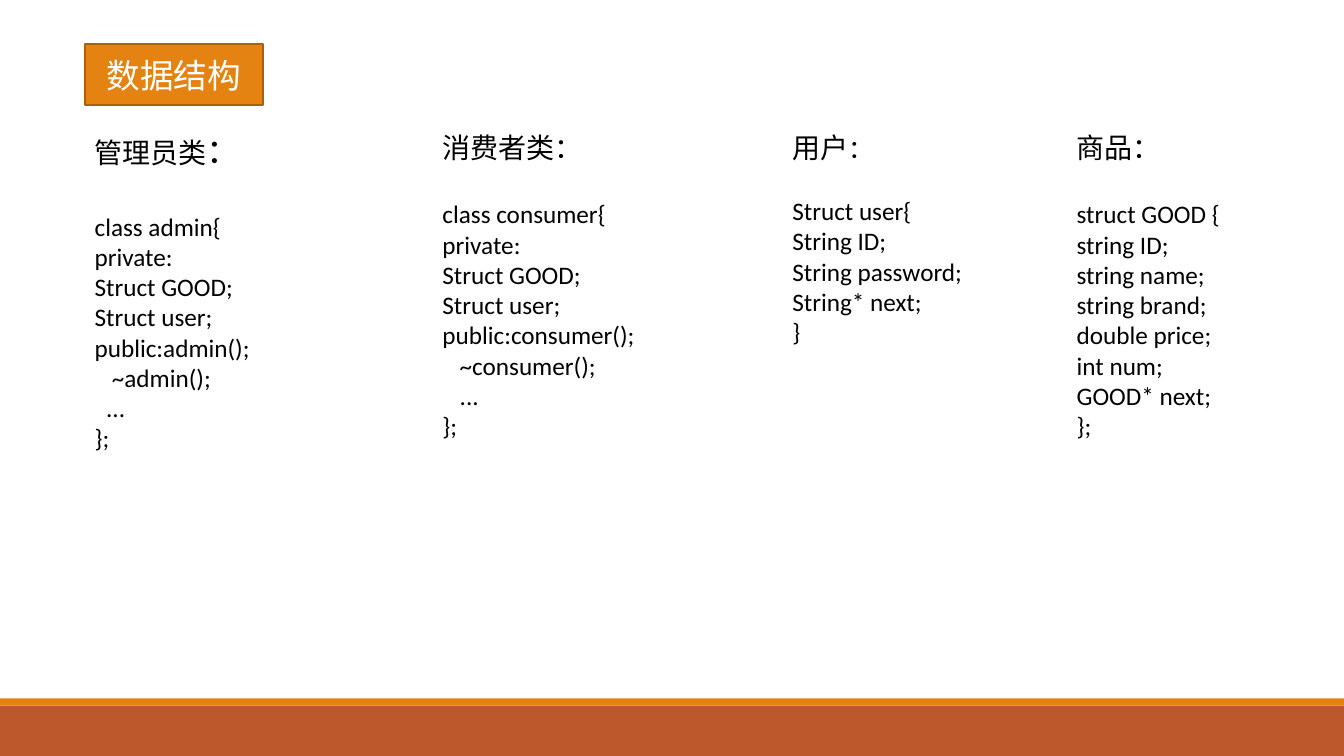
from pptx import Presentation
from pptx.dml.color import RGBColor
from pptx.enum.shapes import MSO_SHAPE
from pptx.enum.text import MSO_ANCHOR, MSO_AUTO_SIZE, PP_ALIGN
from pptx.oxml import parse_xml
from pptx.oxml.ns import nsdecls
from pptx.util import Inches, Pt

COLORS = {
    "orange": "E48312",
    "rust": "BD582C",
    "outline": "A9610D",
    "white": "FFFFFF",
    "black": "000000",
}
FONT = "Calibri"
CODE_SIZE = 18
LINE_HEIGHT = 1.22  # Calibri line height relative to its size
SPACE_WIDTH = 0.057  # inches, one blank at the code size


def rgb(name):
    return RGBColor.from_string(COLORS[name])


def place(sp, box):
    sp.left, sp.top, sp.width, sp.height = [Inches(v) for v in box]


def add_footer(slide, box):
    """Rust band with a thin orange strip along its top edge."""
    left, top, width, height = box
    strip = 0.07
    for y, h, color in ((top + strip, height - strip, "rust"), (top, strip, "orange")):
        sp = slide.shapes.add_shape(
            MSO_SHAPE.RECTANGLE, Inches(left), Inches(y), Inches(width), Inches(h))
        sp.shadow.inherit = False
        sp.fill.solid()
        sp.fill.fore_color.rgb = rgb(color)
        sp.line.fill.background()


def add_badge(slide, box, text):
    """Slide title on a rounded orange badge."""
    sp = slide.shapes.title
    place(sp, box)
    sp._element.spPr.append(parse_xml(
        f'<a:prstGeom {nsdecls("a")} prst="roundRect"><a:avLst/></a:prstGeom>'))
    sp.fill.solid()
    sp.fill.fore_color.rgb = rgb("orange")
    sp.line.color.rgb = rgb("outline")
    sp.line.width = Pt(1.25)
    tf = sp.text_frame
    tf.text = text
    tf.auto_size = MSO_AUTO_SIZE.NONE
    tf.vertical_anchor = MSO_ANCHOR.MIDDLE
    p = tf.paragraphs[0]
    p.alignment = PP_ALIGN.CENTER
    p.font.name, p.font.size = FONT, Pt(24)
    p.font.color.rgb = rgb("white")


def add_class(slide, box, anchor, heading, code, colon_size=20, heading_font=FONT):
    """Heading with its code listing; leading blanks become indents."""
    sp = slide.shapes.add_textbox(*[Inches(v) for v in box])
    tf = sp.text_frame
    tf.word_wrap = True
    tf.vertical_anchor = anchor

    # Heading, one line of its colon's size above the code
    p = tf.paragraphs[0]
    p.space_after = Pt(round(colon_size * LINE_HEIGHT, 1))
    p.font.name, p.font.size = heading_font, Pt(20)
    for text, size in ((heading, 20), ("：", colon_size)):
        r = p.add_run()
        r.text = text
        r.font.name, r.font.size = heading_font, Pt(size)
        r.font.color.rgb = rgb("black")

    # Code lines
    for line in code.splitlines():
        p = tf.add_paragraph()
        r = p.add_run()
        r.text = line.lstrip()
        indent = len(line) - len(r.text)
        if indent:
            p._p.get_or_add_pPr().set("marL", str(Inches(indent * SPACE_WIDTH)))
        p.font.name, p.font.size = FONT, Pt(CODE_SIZE)
        p.font.color.rgb = rgb("black")
    return sp


ADMIN = """class admin{
private:
Struct GOOD;
Struct user;
public:admin();
   ~admin();
  ...
};"""
CONSUMER = """class consumer{
private:
Struct GOOD;
Struct user;
public:consumer();
   ~consumer();
   ...
};"""
USER = """Struct user{
String ID;
String password;
String* next;
}"""
GOOD = """struct GOOD {
string ID;
string name;
string brand;
double price;
int num;
GOOD* next;
};"""


def main():
    prs = Presentation()
    prs.slide_width, prs.slide_height = Inches(13.33), Inches(7.5)
    slide = prs.slides.add_slide(prs.slide_layouts[5])

    add_footer(slide, (0, 6.93, 13.33, 0.57))
    add_badge(slide, (0.84, 0.44, 1.77, 0.6), "数据结构")

    # Four class listings, left to right
    top, middle = MSO_ANCHOR.TOP, MSO_ANCHOR.MIDDLE
    add_class(slide, (0.84, 1.94, 1.91, 1.9), middle, "管理员类", ADMIN, 24, "Arial")
    add_class(slide, (4.29, 1.25, 2.57, 3.2), top, "消费者类", CONSUMER,
              heading_font="Noto Sans CJK SC")
    add_class(slide, (7.76, 1.25, 2.02, 2.26), top, "用户", USER, 18)
    goods = add_class(slide, (10.58, 1.15, 2.02, 3.37), middle, "商品", GOOD)
    goods.fill.solid()
    goods.fill.fore_color.rgb = rgb("white")

    prs.save("out.pptx")


if __name__ == "__main__":
    main()
